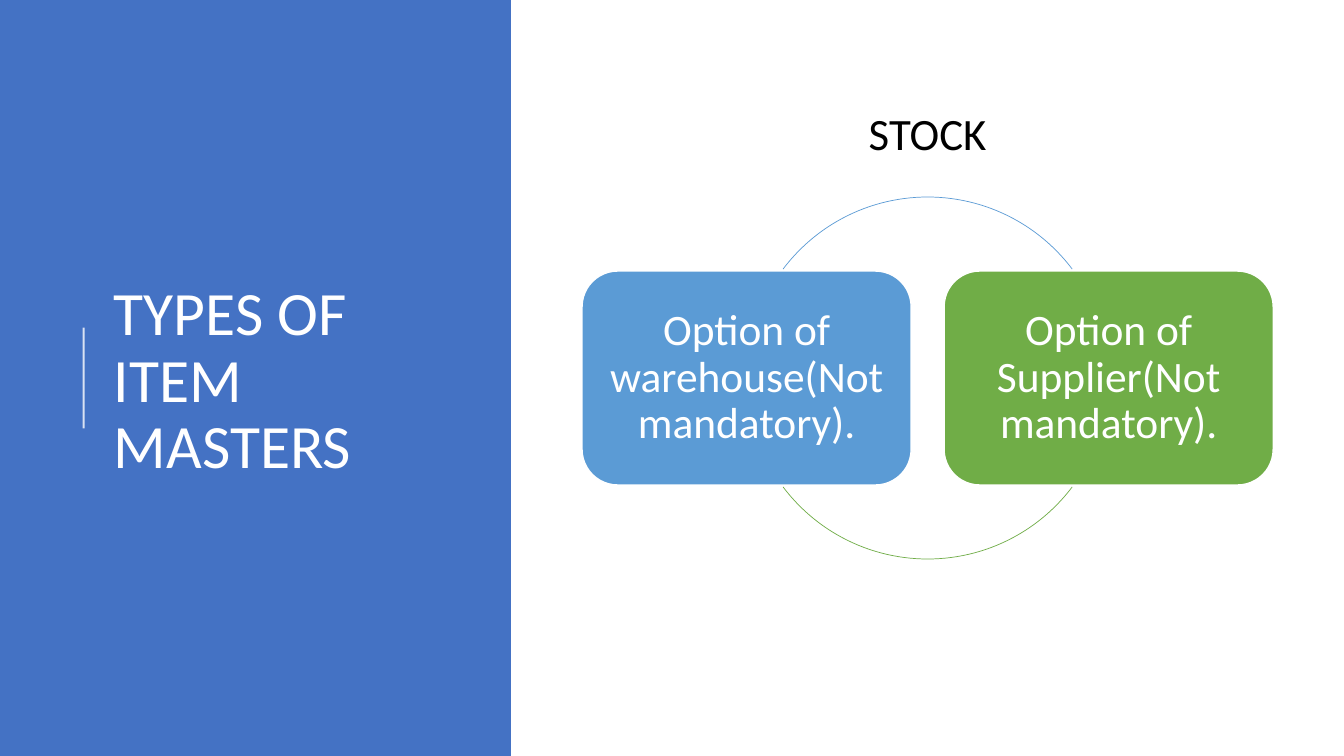
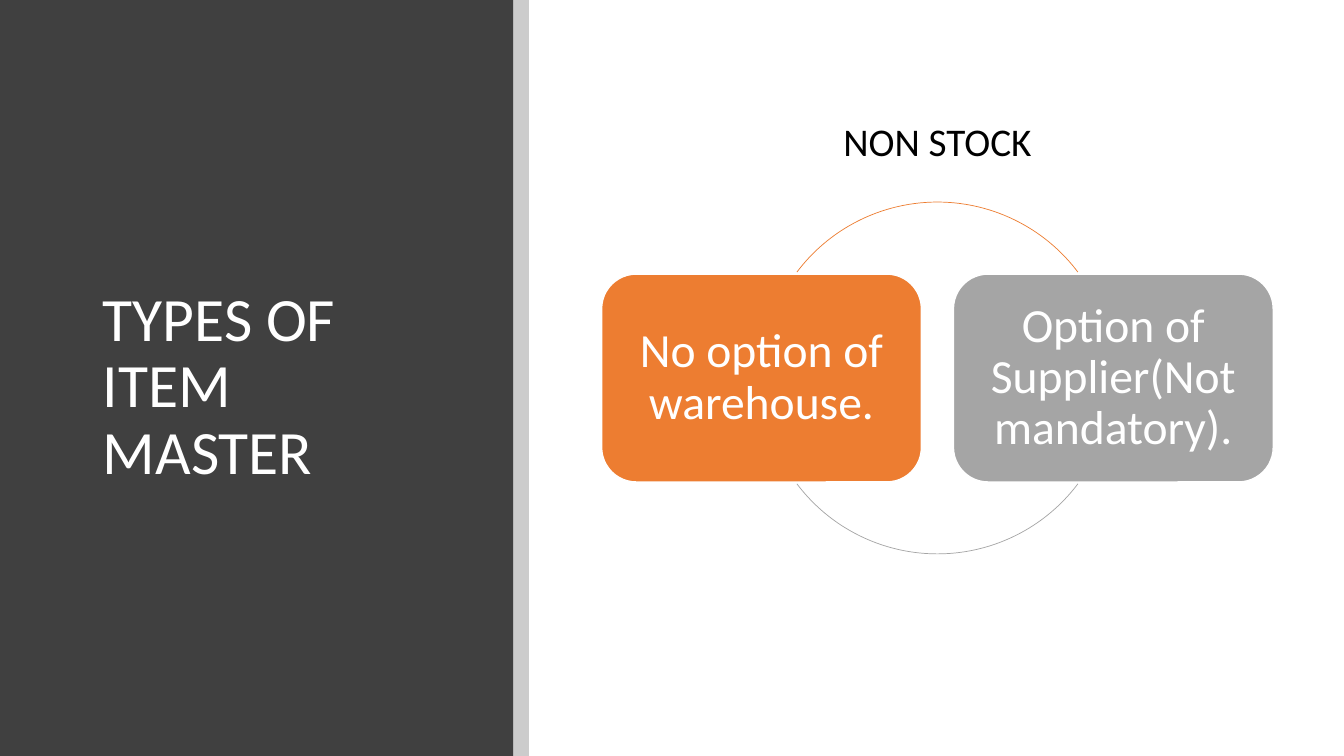
"""Build two slides on the types of item master, each with a two-step cycle."""
import pptx
import pptx.dml.color
import pptx.enum.shapes
import pptx.enum.text
import pptx.oxml
import pptx.oxml.ns
import pptx.util
import lxml.etree

Pt = pptx.util.Pt
RGB = pptx.dml.color.RGBColor
SHAPE = pptx.enum.shapes.MSO_SHAPE
ALIGN = pptx.enum.text.PP_ALIGN
MIDDLE = pptx.enum.text.MSO_ANCHOR.MIDDLE
TOP = pptx.enum.text.MSO_ANCHOR.TOP
qn = pptx.oxml.ns.qn

WHITE, BLACK = RGB(255, 255, 255), RGB(0, 0, 0)
BLUE, CHARCOAL = RGB(0x44, 0x72, 0xC4), RGB(0x40, 0x40, 0x40)
SKY, GREEN = RGB(0x5B, 0x9B, 0xD5), RGB(0x70, 0xAD, 0x47)
ORANGE, GREY = RGB(0xED, 0x7D, 0x31), RGB(0xA5, 0xA5, 0xA5)

FONT = "Calibri"
WIDTH, HEIGHT = 960, 540
MID_Y = HEIGHT / 2
ARC_ANGLES = [(217, 323), (37, 143)]

SLIDES = [
    {
        "title": "TYPES OF ITEM MASTERS", "title_box": (74.2, 56.2, 265.6, 433.4),
        "panel": (365, BLUE), "rule": (59.8, 234, 306), "strip": None,
        "label": "STOCK", "label_box": (72, 99.4, 46), "label_size": 32,
        "center": 662.6, "diameter": 258.6, "step_size": 31,
        "steps": [("Option of warehouse(Not mandatory).", SKY),
                  ("Option of Supplier(Not mandatory).", GREEN)],
    },
    {
        "title": "TYPES OF ITEM MASTER", "title_box": (66.2, 64.1, 260, 425.5),
        "panel": (366.5, CHARCOAL), "rule": None, "strip": 11.4,
        "label": "NON STOCK", "label_box": (80.6, 150.5, 41), "label_size": 28,
        "center": 669.6, "diameter": 251.3, "step_size": 34,
        "steps": [("No option of warehouse.", ORANGE),
                  ("Option of Supplier(Not mandatory).", GREY)],
    },
]


def write(sp, text, size, color=WHITE, align=ALIGN.CENTER, anchor=MIDDLE,
          spacing=0.9, wrap=True, margin=None):
    tf = sp.text_frame
    tf.word_wrap = wrap
    tf.auto_size = pptx.enum.text.MSO_AUTO_SIZE.NONE
    tf.vertical_anchor = anchor
    if margin is not None:
        tf.margin_left = tf.margin_right = Pt(margin)
        tf.margin_top = tf.margin_bottom = Pt(margin)
    p = tf.paragraphs[0]
    p.alignment, p.line_spacing = align, spacing
    r = p.add_run()
    r.text = text
    r.font.name, r.font.size, r.font.color.rgb = FONT, Pt(size), color


def add_shape(s, kind, box, fill=None, line=None, line_width=1):
    sp = s.shapes.add_shape(kind, *map(Pt, box))
    sp.shadow.inherit = False
    if fill is None:
        sp.fill.background()
    else:
        sp.fill.solid()
        sp.fill.fore_color.rgb = fill
    if line is None:
        sp.line.fill.background()
    else:
        sp.line.color.rgb, sp.line.width = line, Pt(line_width)
    return sp


def set_opacity(sp, percent):
    for color in sp.element.spPr.iter(qn("a:srgbClr")):
        lxml.etree.SubElement(color, qn("a:alpha"), val=str(percent * 1000))


def add_rule(s, x, top, bottom):
    line = s.shapes.add_connector(pptx.enum.shapes.MSO_CONNECTOR.STRAIGHT,
                                  Pt(x), Pt(top), Pt(x), Pt(bottom))
    line.line.color.rgb, line.line.width = WHITE, Pt(1.5)
    set_opacity(line, 80)
    lxml.etree.SubElement(line.element.spPr, qn("a:effectLst"))


def add_side_panel(s, data):
    width, color = data["panel"]
    add_shape(s, SHAPE.RECTANGLE, (0, 0, width, HEIGHT), color)
    if data["strip"]:
        strip = add_shape(s, SHAPE.RECTANGLE, (width, 0, data["strip"], HEIGHT), BLACK)
        set_opacity(strip, 20)
    if data["rule"]:
        add_rule(s, *data["rule"])
    title = s.shapes.title
    s.shapes.element.append(title.element)
    title.left, title.top, title.width, title.height = map(Pt, data["title_box"])
    write(title, data["title"], 44, align=ALIGN.LEFT)


def add_cycle(s, data):
    center, diameter, size = data["center"], data["diameter"], data["step_size"]
    width = diameter / 1.1
    height = width * 0.65
    ring = (center - diameter / 2, MID_Y - diameter / 2, diameter, diameter)
    for i, ((text, color), angles) in enumerate(zip(data["steps"], ARC_ANGLES)):
        left = center + (i - 0.5) * diameter - width / 2
        step = add_shape(s, SHAPE.ROUNDED_RECTANGLE,
                         (left, MID_Y - height / 2, width, height), color, WHITE)
        write(step, text, size, margin=size * 0.3)
        arc = add_shape(s, SHAPE.ARC, ring, line=color, line_width=0.5)
        for n, angle in enumerate(angles):
            arc.adjustments[n] = angle * 0.6


def add_label(s, data):
    top, width, height = data["label_box"]
    label = s.shapes.add_textbox(Pt(data["center"] - width / 2), Pt(top),
                                 Pt(width), Pt(height))
    write(label, data["label"], data["label_size"], BLACK, anchor=TOP,
          spacing=1.0, wrap=False)


def main():
    prs = pptx.Presentation()
    prs.slide_width, prs.slide_height = Pt(WIDTH), Pt(HEIGHT)
    for data in SLIDES:
        s = prs.slides.add_slide(prs.slide_layouts.get_by_name("Title Only"))
        add_side_panel(s, data)
        add_cycle(s, data)
        add_label(s, data)
    prs.save("out.pptx")


if __name__ == "__main__":
    main()
